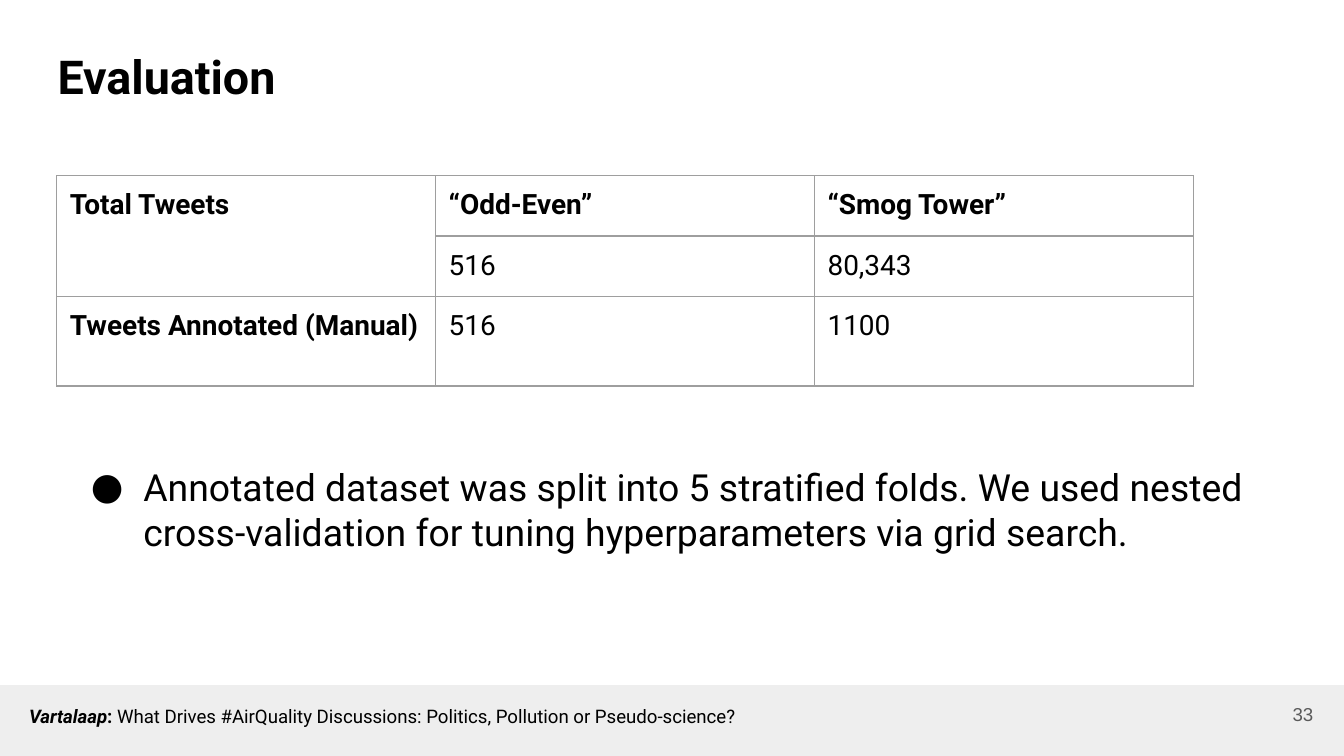
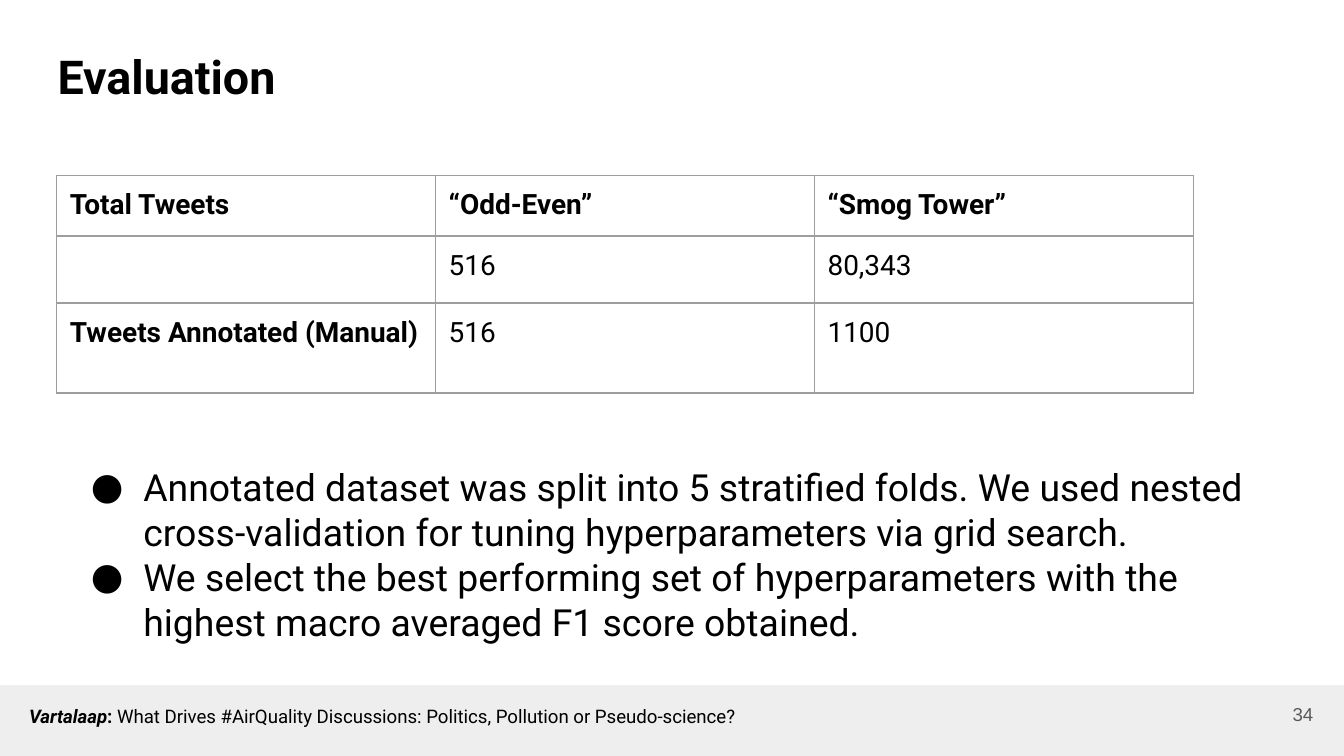
from dataclasses import dataclass

import pptx
import pptx.dml.color
import pptx.enum.shapes
import pptx.enum.text
import pptx.oxml.ns
import pptx.presentation
import pptx.slide
import pptx.text.text
import pptx.util
from lxml import etree

Cm = pptx.util.Cm
Pt = pptx.util.Pt


@dataclass(frozen=True)
class Theme:
    font: str = "Roboto"
    number_font: str = "Arial"
    ink: str = "000000"
    number_ink: str = "595959"
    band: str = "EEEEEE"
    border: str = "9E9E9E"
    title_size: float = 25
    body_size: float = 20
    table_size: float = 15
    footer_size: float = 10
    border_width: float = 0.75
    inset: float = 0.25


@dataclass(frozen=True)
class Area:
    """A rectangle in centimetres."""
    left: float
    top: float
    width: float
    height: float

    def lengths(self) -> tuple[pptx.util.Length, ...]:
        return Cm(self.left), Cm(self.top), Cm(self.width), Cm(self.height)


@dataclass(frozen=True)
class EvaluationPage:
    number: int
    merge_total: bool
    row_heights: tuple[float, ...]
    bullets: tuple[str, ...]
    bullets_height: float


THEME = Theme()
TITLE = "Evaluation"
FOOTER = (
    # text, bold, italic
    ("Vartalaap", True, True),
    (": ", True, False),
    ("What Drives #AirQuality Discussions: Politics, Pollution or Pseudo-science?", False, False),
)
TWEET_COUNTS = (
    ("Total Tweets", "“Odd-Even”", "“Smog Tower”"),
    ("", "516", "80,343"),
    ("Tweets Annotated (Manual)", "516", "1100"),
)
COLUMN_WIDTH = 7.16
FOLDS = ("Annotated dataset was split into 5 stratified folds. We used nested "
         "cross-validation for tuning hyperparameters via grid search.")
SELECTION = ("We select the best performing set of hyperparameters with the "
             "highest macro averaged F1 score obtained.")
PAGES = (
    EvaluationPage(33, True, (1.14, 1.14, 1.7), (FOLDS,), 3.07),
    EvaluationPage(34, False, (1.14, 1.27, 1.7), (FOLDS, SELECTION), 3.94),
)


def rgb(color: str) -> pptx.dml.color.RGBColor:
    return pptx.dml.color.RGBColor.from_string(color)


def style_font(font: pptx.text.text.Font, size: float, bold: bool = False, italic: bool = False,
               name: str = THEME.font, color: str = THEME.ink) -> None:
    font.name = name
    font.size = Pt(size)
    font.bold = bold
    font.italic = italic
    font.color.rgb = rgb(color)


def add_text_area(page: pptx.slide.Slide, area: Area) -> pptx.text.text.TextFrame:
    frame = page.shapes.add_textbox(*area.lengths()).text_frame
    frame.word_wrap = True
    frame.margin_left = frame.margin_right = Cm(THEME.inset)
    frame.margin_top = frame.margin_bottom = Cm(THEME.inset)
    return frame


def add_footer(page: pptx.slide.Slide, number: int) -> None:
    band = page.shapes.add_shape(pptx.enum.shapes.MSO_SHAPE.RECTANGLE,
                                 *Area(0, 12.95, 25.4, 1.34).lengths())
    band.shadow.inherit = False
    band.fill.solid()
    band.fill.fore_color.rgb = rgb(THEME.band)
    band.line.fill.background()

    frame = add_text_area(page, Area(23.55, 12.95, 1.52, 1.09))
    frame.vertical_anchor = pptx.enum.text.MSO_ANCHOR.MIDDLE
    frame.text = str(number)
    para = frame.paragraphs[0]
    para.alignment = pptx.enum.text.PP_ALIGN.RIGHT
    style_font(para.runs[0].font, THEME.footer_size, name=THEME.number_font, color=THEME.number_ink)

    para = add_text_area(page, Area(0.3, 13.11, 16.2, 1.37)).paragraphs[0]
    for text, bold, italic in FOOTER:
        span = para.add_run()
        span.text = text
        style_font(span.font, THEME.footer_size, bold, italic)


def add_title(page: pptx.slide.Slide) -> None:
    frame = add_text_area(page, Area(0.84, 0.66, 23.67, 1.57))
    frame.text = TITLE
    style_font(frame.paragraphs[0].runs[0].font, THEME.title_size, bold=True)


def add_cell_borders(properties: etree._Element) -> None:
    for side in ("a:lnL", "a:lnR", "a:lnT", "a:lnB"):
        line = etree.SubElement(properties, pptx.oxml.ns.qn(side), w=str(Pt(THEME.border_width)))
        fill = etree.SubElement(line, pptx.oxml.ns.qn("a:solidFill"))
        etree.SubElement(fill, pptx.oxml.ns.qn("a:srgbClr"), val=THEME.border)


def add_tweet_table(page: pptx.slide.Slide, content: EvaluationPage) -> None:
    columns = len(TWEET_COUNTS[0])
    area = Area(1.07, 3.32, COLUMN_WIDTH * columns, sum(content.row_heights))
    table = page.shapes.add_table(len(TWEET_COUNTS), columns, *area.lengths()).table
    table.first_row = table.horz_banding = False
    for column in table.columns:
        column.width = Cm(COLUMN_WIDTH)
    for row, height in zip(table.rows, content.row_heights):
        row.height = Cm(height)
    for row_index, texts in enumerate(TWEET_COUNTS):
        for column_index, text in enumerate(texts):
            cell = table.cell(row_index, column_index)
            cell.margin_left = cell.margin_right = Cm(THEME.inset)
            cell.margin_top = cell.margin_bottom = Cm(THEME.inset)
            add_cell_borders(cell._tc.get_or_add_tcPr())
            cell.fill.background()
            cell.text = text
            for span in cell.text_frame.paragraphs[0].runs:
                style_font(span.font, THEME.table_size, bold=row_index == 0 or column_index == 0)
    if content.merge_total:
        table.cell(0, 0).merge(table.cell(1, 0))


def add_bullets(page: pptx.slide.Slide, content: EvaluationPage) -> None:
    frame = add_text_area(page, Area(1.19, 8.53, 22.66, content.bullets_height))
    frame.text = "\n".join(content.bullets)
    for para in frame.paragraphs:
        properties = para._p.get_or_add_pPr()
        properties.set("marL", str(Cm(1.27)))
        properties.set("indent", str(Cm(-0.99)))
        color = etree.SubElement(properties, pptx.oxml.ns.qn("a:buClr"))
        etree.SubElement(color, pptx.oxml.ns.qn("a:srgbClr"), val=THEME.ink)
        etree.SubElement(properties, pptx.oxml.ns.qn("a:buFont"), typeface=THEME.font)
        etree.SubElement(properties, pptx.oxml.ns.qn("a:buChar"), char="●")
        style_font(para.runs[0].font, THEME.body_size)


def add_evaluation_page(deck: pptx.presentation.Presentation, content: EvaluationPage) -> None:
    page = deck.slides.add_slide(deck.slide_layouts[6])
    add_footer(page, content.number)
    add_title(page)
    add_tweet_table(page, content)
    add_bullets(page, content)


def main() -> None:
    deck = pptx.Presentation()
    deck.slide_width = Cm(25.4)
    deck.slide_height = Cm(14.29)
    for content in PAGES:
        add_evaluation_page(deck, content)
    deck.save("out.pptx")


if __name__ == "__main__":
    main()
